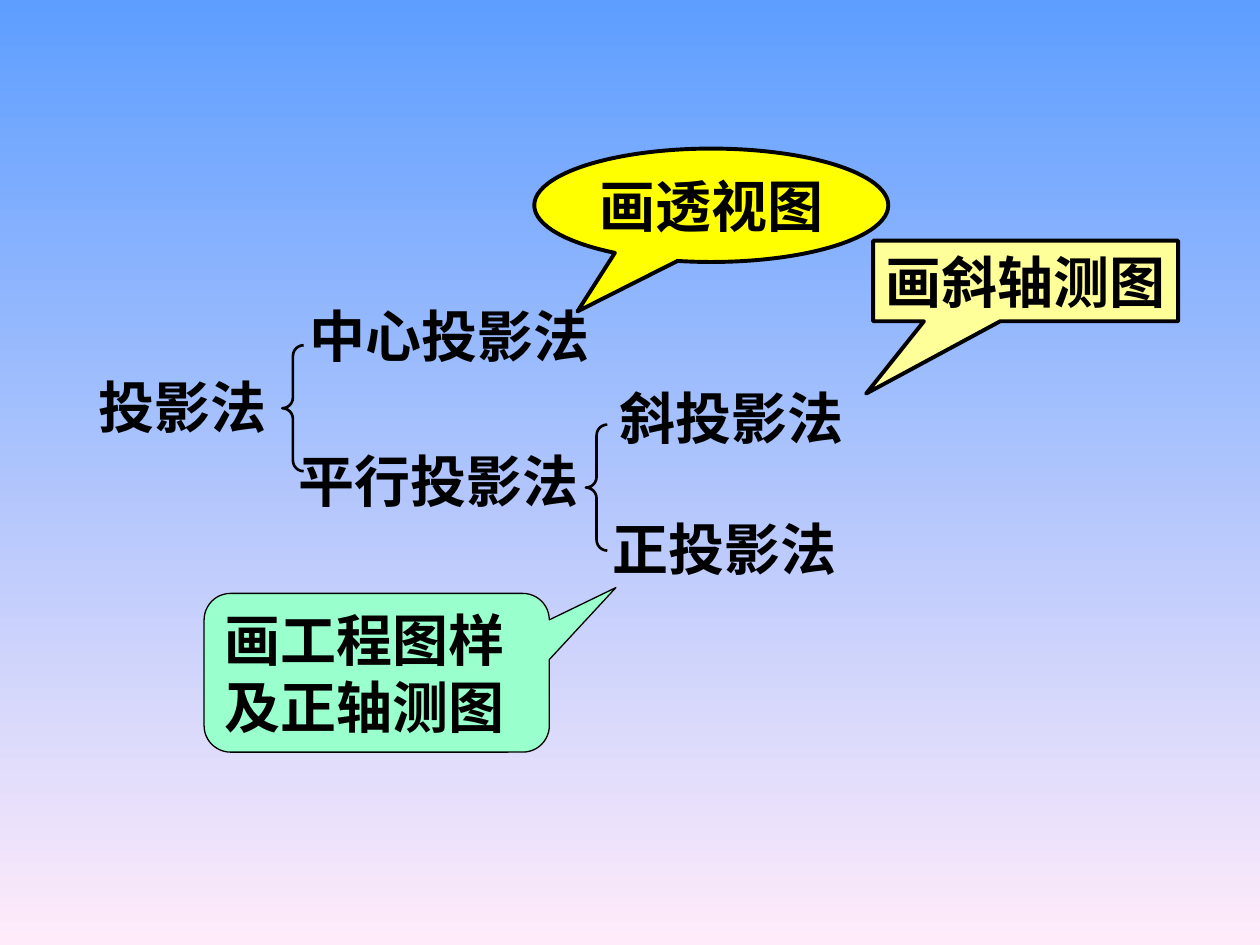
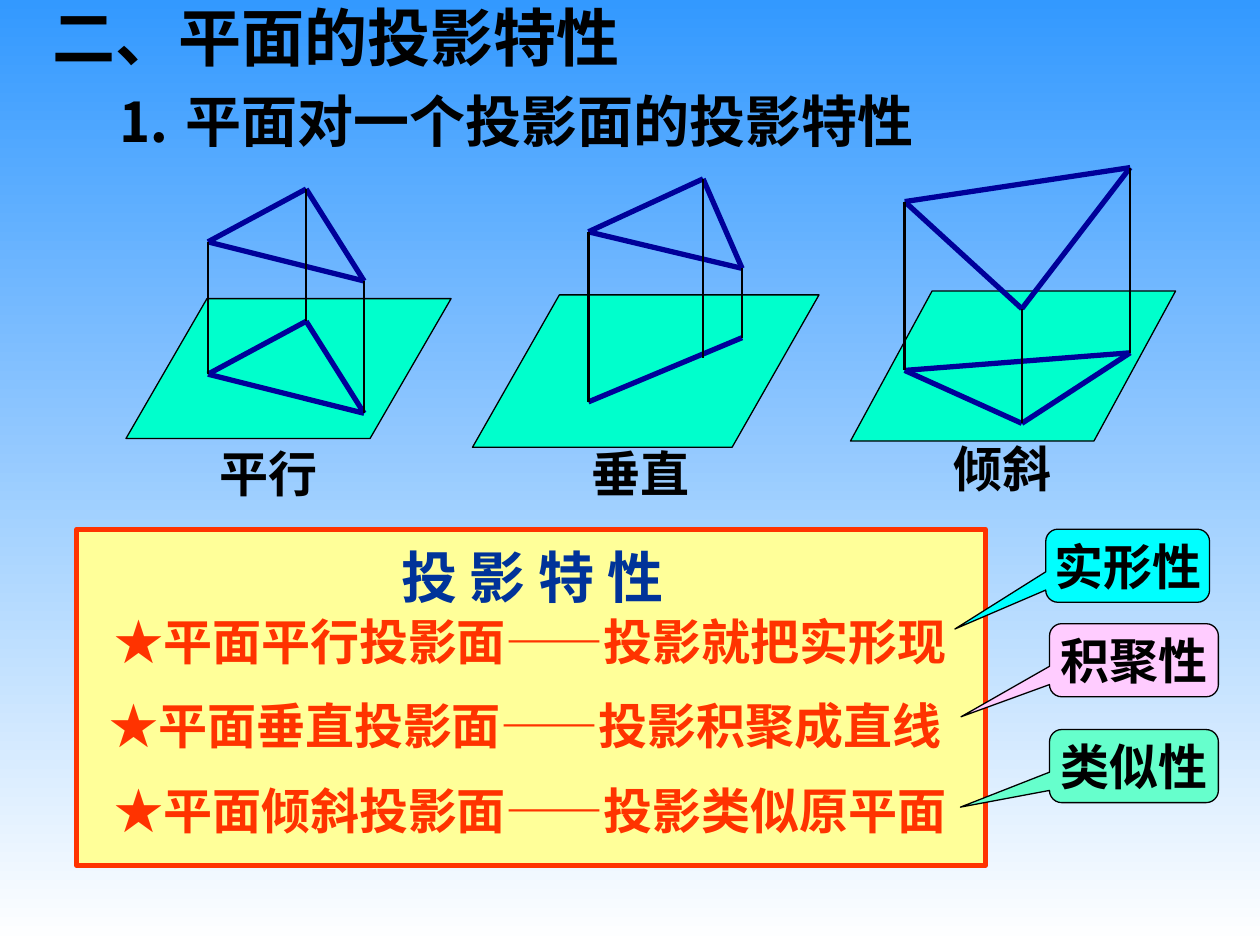
from dataclasses import dataclass
from itertools import combinations

from lxml.etree import SubElement
from pptx import Presentation
from pptx.dml.color import RGBColor
from pptx.enum.shapes import MSO_CONNECTOR, MSO_SHAPE
from pptx.enum.text import MSO_ANCHOR, MSO_AUTO_SIZE, PP_ALIGN
from pptx.oxml.ns import qn
from pptx.util import Inches, Pt


@dataclass(frozen=True)
class Theme:
    serif: str = "Times New Roman"
    sans: str = "Noto Sans CJK SC"
    title: int = 36
    heading: int = 32
    body: int = 28
    leading: int = 38
    black: str = "000000"
    navy: str = "000099"
    blue: str = "003399"
    red: str = "FF3300"
    cream: str = "FFFF99"
    yellow: str = "FFFF00"
    mint: str = "99FFCC"
    aqua: str = "66FFCC"
    cyan: str = "00FFFF"
    pink: str = "FFCCFF"
    plane: str = "00FFCC"
    thin: float = 0.75
    ray: float = 1.5
    frame: float = 2.25
    edge: float = 3
    skies: tuple = (("5E9EFF", "FFEBFA"), ("3399FF", "FFFFFF"))


theme = Theme()


def place(slide, kind, at, fill=None, line=None, width=theme.thin, adjust=()):
    box = [Inches(length) for length in at]
    if kind is None:
        shape = slide.shapes.add_textbox(*box)
    else:
        shape = slide.shapes.add_shape(kind, *box)
        shape.shadow.inherit = False
    for i, value in enumerate(adjust):
        shape.adjustments[i] = value
    if fill:
        shape.fill.solid()
        shape.fill.fore_color.rgb = RGBColor.from_string(fill)
    else:
        shape.fill.background()
    if line:
        shape.line.color.rgb = RGBColor.from_string(line)
        shape.line.width = Pt(width)
    else:
        shape.line.fill.background()
    return shape


def write(shape, text, size=theme.heading, color=theme.black, font=theme.serif,
          align=PP_ALIGN.LEFT, wrap=False):
    frame = shape.text_frame
    frame.auto_size = MSO_AUTO_SIZE.NONE
    frame.word_wrap = wrap
    frame.vertical_anchor = MSO_ANCHOR.MIDDLE
    paragraph = frame.paragraphs[0]
    paragraph.alignment = align
    if wrap:
        paragraph.line_spacing = Pt(theme.leading)
    run = paragraph.add_run()
    run.text = text
    run.font.size = Pt(size)
    run.font.bold = True
    run.font.color.rgb = RGBColor.from_string(color)
    run.font.name = font
    SubElement(run.font._element, qn("a:ea")).set("typeface", theme.sans)


presentation = Presentation()
presentation.slide_width = Inches(10)
presentation.slide_height = Inches(7.5)
methods = presentation.slides.add_slide(presentation.slide_layouts[6])
properties = presentation.slides.add_slide(presentation.slide_layouts[5])

for slide, sky in zip((methods, properties), theme.skies):
    backdrop = slide.background.fill
    backdrop.gradient()
    backdrop.gradient_angle = 270
    for stop, color in zip(backdrop.gradient_stops, sky):
        stop.color.rgb = RGBColor.from_string(color)

for method, at in (
    ("投影法", (0.68, 2.9, 1.56, 0.64)),
    ("中心投影法", (2.36, 2.34, 2.64, 0.64)),
    ("平行投影法", (2.27, 3.49, 2.42, 0.64)),
    ("正投影法", (4.76, 4.03, 3.85, 0.64)),
    ("斜投影法", (4.82, 2.99, 1.98, 0.64)),
):
    write(place(methods, None, at), method)

for use, kind, at, fill, width, adjust, align in (
    ("画透视图", MSO_SHAPE.OVAL_CALLOUT, (4.24, 1.18, 2.81, 0.9),
     theme.yellow, theme.frame, (-0.378, 0.936), PP_ALIGN.CENTER),
    ("画斜轴测图", MSO_SHAPE.RECTANGULAR_CALLOUT, (6.93, 1.91, 2.42, 0.64),
     theme.cream, theme.frame, (-0.523, 1.397), PP_ALIGN.CENTER),
    ("画工程图样及正轴测图", MSO_SHAPE.ROUNDED_RECTANGULAR_CALLOUT, (1.62, 4.71, 2.74, 1.26),
     theme.mint, theme.thin, (0.693, -0.537, 0.167), PP_ALIGN.LEFT),
):
    callout = place(methods, kind, at, fill, theme.black, width, adjust)
    write(callout, use, align=align, wrap=align == PP_ALIGN.LEFT)

for left, top in ((2.24, 2.74), (4.65, 3.37)):
    place(methods, MSO_SHAPE.LEFT_BRACE, (left, top, 0.17, 1),
          line=theme.black, width=theme.ray, adjust=(0.5, 0.5))

title = properties.shapes.title
title.left, title.top, title.width, title.height = (
    Inches(length) for length in (0.32, -0.06, 5, 0.7))
write(title, "二、平面的投影特性", size=theme.title)
write(place(properties, None, (0.83, 0.63, 6.53, 0.64)), "⒈ 平面对一个投影面的投影特性")

all_sides = tuple(combinations(range(3), 2))
for position, label_at, plane_at, slant, triangle, projection, projected_sides in (
    ("平行", (1.47, 3.47, 1.32, 0.57), (1, 2.37, 2.58, 1.11), 0.579,
     ((1.65, 1.92), (2.43, 1.5), (2.89, 2.23)),
     ((1.65, 2.97), (2.43, 2.55), (2.89, 3.28)), all_sides),
    ("垂直", (4.48, 3.47, 1.21, 0.57), (3.75, 2.34, 2.75, 1.21), 0.57,
     ((4.67, 1.84), (5.58, 1.42), (5.89, 2.13)),
     ((4.67, 3.19), (5.58, 2.84), (5.89, 2.68)), ((0, 2),)),
    ("倾斜", (7.47, 3.43, 0.97, 0.57), (6.75, 2.31, 2.58, 1.19), 0.544,
     ((7.18, 1.6), (8.97, 1.33), (8.11, 2.45)),
     ((7.18, 2.94), (8.97, 2.8), (8.11, 3.36)), all_sides),
):
    place(properties, MSO_SHAPE.PARALLELOGRAM, plane_at, theme.plane, theme.black, adjust=(slant,))
    sides = [(triangle[a], triangle[b], theme.navy, theme.edge) for a, b in all_sides]
    sides += [(projection[a], projection[b], theme.navy, theme.edge) for a, b in projected_sides]
    rays = [(top, foot, theme.black, theme.ray) for top, foot in zip(triangle, projection)]
    for start, end, color, width in sides + rays:
        segment = properties.shapes.add_connector(
            MSO_CONNECTOR.STRAIGHT, *(Inches(length) for length in start + end))
        segment.line.color.rgb = RGBColor.from_string(color)
        segment.line.width = Pt(width)
        SubElement(segment._element.spPr, qn("a:effectLst"))
    write(place(properties, None, label_at), position, size=theme.body, align=PP_ALIGN.CENTER)

place(properties, MSO_SHAPE.RECTANGLE, (0.61, 4.2, 7.21, 2.67), theme.cream, theme.red, theme.edge)
write(place(properties, MSO_SHAPE.RECTANGLE, (2.73, 4.25, 2.99, 0.64), theme.cream),
      "投 影 特 性", color=theme.blue, font=theme.sans, align=PP_ALIGN.CENTER)

for row, (left, rule) in enumerate((
    (0.81, "★平面平行投影面——投影就把实形现"),
    (0.77, "★平面垂直投影面——投影积聚成直线"),
    (0.81, "★平面倾斜投影面——投影类似原平面"),
)):
    line_box = place(properties, MSO_SHAPE.RECTANGLE, (left, 4.8 + 0.67 * row, 6.82, 0.57), theme.cream)
    write(line_box, rule, size=theme.body, color=theme.red, font=theme.sans)

for name, left, top, width, fill, tip in (
    ("实形性", 8.3, 4.2, 1.3, theme.cyan, (-1.055, 0.866)),
    ("积聚性", 8.33, 4.95, 1.34, theme.pink, (-1.024, 0.774)),
    ("类似性", 8.33, 5.79, 1.34, theme.aqua, (-1.028, 0.562)),
):
    callout = place(properties, MSO_SHAPE.ROUNDED_RECTANGULAR_CALLOUT, (left, top, width, 0.58),
                    fill, theme.black, adjust=tip + (0.167,))
    write(callout, name, size=theme.body, align=PP_ALIGN.CENTER)

presentation.save("out.pptx")
